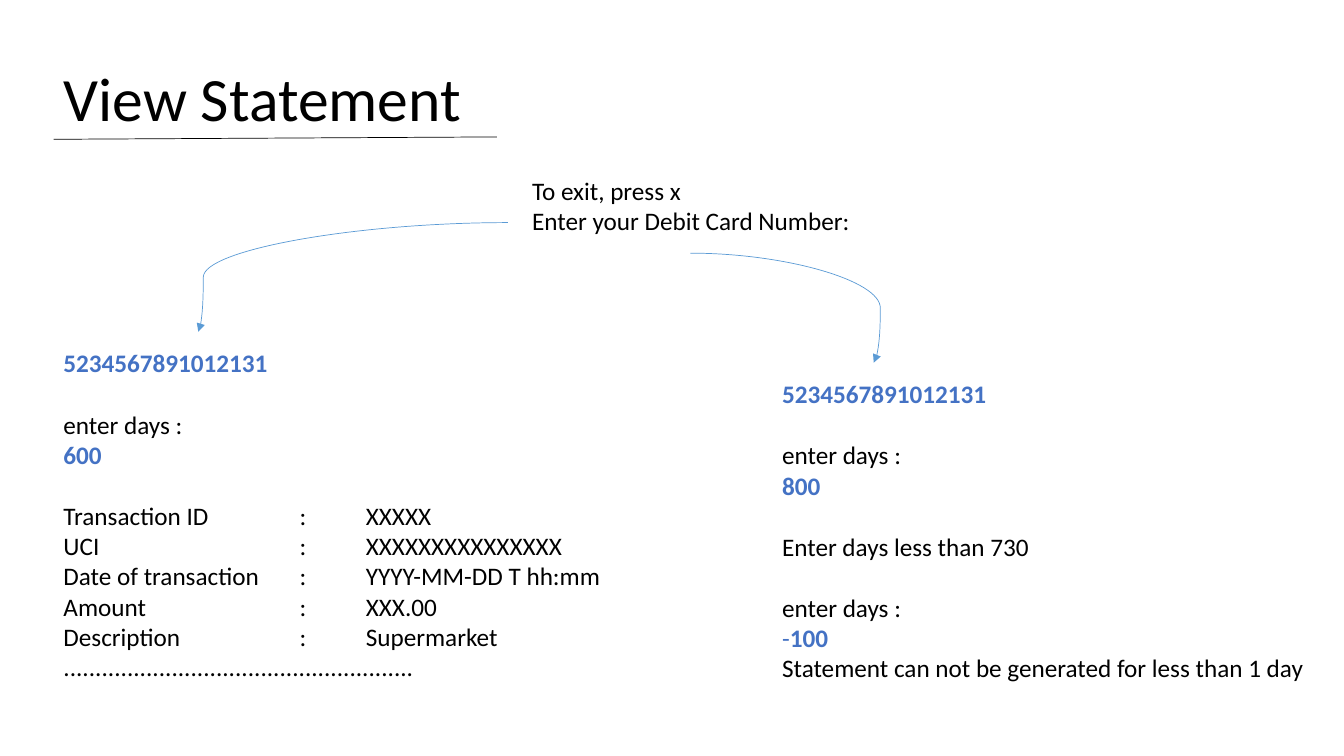
import pptx
import pptx.util
import pptx.dml.color
import pptx.enum.shapes
import pptx.enum.text
import pptx.oxml
import pptx.oxml.ns

Cm, Pt = pptx.util.Cm, pptx.util.Pt
qn, SubElement = pptx.oxml.ns.qn, pptx.oxml.xmlchemy.OxmlElement
CONNECTOR = pptx.enum.shapes.MSO_CONNECTOR
BLACK = pptx.dml.color.RGBColor(0x00, 0x00, 0x00)
ENTRY_BLUE = pptx.dml.color.RGBColor(0x44, 0x72, 0xC4)
ARROW_BLUE = pptx.dml.color.RGBColor(0x5B, 0x9B, 0xD5)

PROMPT = {"name": "Calibri", "size": Pt(18), "bold": False}
ENTRY = {**PROMPT, "bold": True}
HEADING = {**PROMPT, "size": Pt(44)}
BLANK_LINE = Pt(22)
COLON_TAB, VALUE_TAB = Cm(5.95), Cm(7.62)


def add_run(paragraph, text, font_format, color):
    run = paragraph.add_run()
    run.text = text
    for attribute, value in font_format.items():
        setattr(run.font, attribute, value)
    run.font.color.rgb = color


def add_line(kind, ends, color):
    line = slide.shapes.add_connector(kind, *[Cm(length) for length in ends])
    line.line.color.rgb = color
    line.line.width = Pt(0.5)
    line._element.spPr.append(SubElement("a:effectLst"))
    return line


deck = pptx.Presentation()
deck.slide_width, deck.slide_height = Cm(33.87), Cm(19.05)
slide = deck.slides.add_slide(deck.slide_layouts[5])

# Title
title = slide.shapes.title
title.left, title.top, title.width, title.height = Cm(1.35), Cm(0.71), Cm(29.21), Cm(3.68)
title.text_frame.vertical_anchor = pptx.enum.text.MSO_ANCHOR.MIDDLE
heading = title.text_frame.paragraphs[0]
heading.alignment = pptx.enum.text.PP_ALIGN.LEFT
heading.line_spacing = 0.9
add_run(heading, "View Statement", HEADING, BLACK)

# Console dialogues: each line is (blank line above, runs)
card_number = (False, [("5234567891012131", ENTRY, ENTRY_BLUE)])
ask_days = (True, [("enter days : ", PROMPT, BLACK)])
transaction = [
    ("Transaction ID", "XXXXX"),
    ("UCI", "XXXXXXXXXXXXXXX"),
    ("Date of transaction", "YYYY-MM-DD T hh:mm"),
    ("Amount", "XXX.00"),
    ("Description", "Supermarket"),
]
statement = [(row == 0, [(f"{field}\t:\t{value}", PROMPT, BLACK)])
             for row, (field, value) in enumerate(transaction)]
dialogues = [
    ((13.16, 4.29, 16.94, 1.8), [
        (False, [("To exit, press x", PROMPT, BLACK)]),
        (False, [("Enter your Debit Card Number: ", PROMPT, BLACK)]),
    ]),
    ((1.35, 8.64, 16.94, 8.71), [
        card_number,
        ask_days,
        (False, [("600", ENTRY, ENTRY_BLUE)]),
        *statement,
        (False, [("." * 55, PROMPT, BLACK)]),
    ]),
    ((19.46, 9.42, 13.77, 7.95), [
        card_number,
        ask_days,
        (False, [("800", ENTRY, ENTRY_BLUE)]),
        (True, [("Enter days less than 730", PROMPT, BLACK)]),
        ask_days,
        (False, [("-", PROMPT, ENTRY_BLUE), ("100", ENTRY, ENTRY_BLUE)]),
        (False, [("Statement can not be generated for less than 1 day", PROMPT, BLACK)]),
    ]),
]
for place, lines in dialogues:
    frame = slide.shapes.add_textbox(*[Cm(length) for length in place]).text_frame
    frame.word_wrap = True
    frame.auto_size = pptx.enum.text.MSO_AUTO_SIZE.SHAPE_TO_FIT_TEXT
    for number, (blank_above, runs) in enumerate(lines):
        paragraph = frame.add_paragraph() if number else frame.paragraphs[0]
        if blank_above:
            paragraph.space_before = BLANK_LINE
        if "\t" in runs[0][0]:
            tab_list = SubElement("a:tabLst")
            for position in (COLON_TAB, VALUE_TAB):
                tab = SubElement("a:tab")
                tab.set("pos", str(int(position)))
                tab.set("algn", "l")
                tab_list.append(tab)
            paragraph._p.get_or_add_pPr().append(tab_list)
        for run in runs:
            add_run(paragraph, *run)

# Curved arrows from the prompt to the two dialogues
for ends, bend in [((12.8, 5.61, 5, 8.36), 98400), ((17.4, 6.38, 22.02, 9.14), 103600)]:
    arrow = add_line(CONNECTOR.CURVE, ends, ARROW_BLUE)
    guide = SubElement("a:gd")
    guide.set("name", "adj1")
    guide.set("fmla", f"val {bend}")
    arrow._element.spPr.find(qn("a:prstGeom")).find(qn("a:avLst")).append(guide)
    arrowhead = SubElement("a:tailEnd")
    arrowhead.set("type", "triangle")
    arrow._element.spPr.find(qn("a:ln")).append(arrowhead)

# Title underline
add_line(CONNECTOR.STRAIGHT, (1.35, 3.51, 12.52, 3.45), BLACK)

deck.save("out.pptx")
